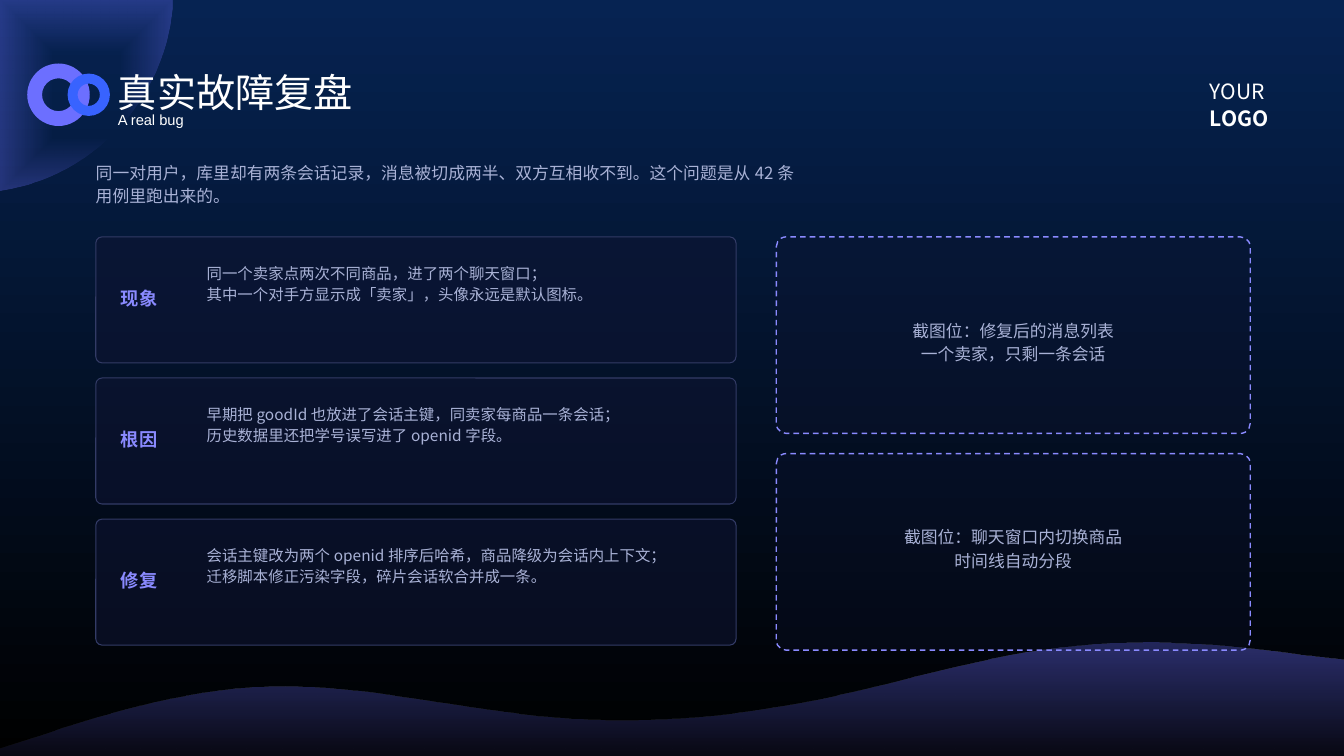
from dataclasses import dataclass

from lxml import etree
from pptx import Presentation
from pptx import util as u
from pptx.dml.color import RGBColor
from pptx.enum import dml, shapes, text
from pptx.oxml.ns import qn

PX = 9144  # 100 px to the inch


@dataclass(frozen=True)
class Theme:
    navy: str = "062352"
    black: str = "000000"
    white: str = "FFFFFF"
    violet: str = "6C6FFF"
    blue: str = "3863FF"
    body: str = "A9B2D6"
    card: str = "0E1433"
    edge: str = "333B66"
    accent: str = "8A8AFF"
    latin: str = "Arial"
    sans: str = "Noto Sans CJK SC"
    title: float = 28
    sub: float = 10.5
    lead: float = 12
    label: float = 13
    note: float = 11
    mark: float = 15


T = Theme()
ROWS = [
    ("现象", ["同一个卖家点两次不同商品，进了两个聊天窗口；",
            "其中一个对手方显示成「卖家」，头像永远是默认图标。"]),
    ("根因", ["早期把 goodId 也放进了会话主键，同卖家每商品一条会话；",
            "历史数据里还把学号误写进了 openid 字段。"]),
    ("修复", ["会话主键改为两个 openid 排序后哈希，商品降级为会话内上下文；",
            "迁移脚本修正污染字段，碎片会话软合并成一条。"]),
]
SHOTS = [
    (80, ["截图位：修复后的消息列表", "一个卖家，只剩一条会话"]),
    (70, ["截图位：聊天窗口内切换商品", "时间线自动分段"]),
]


def emu(*box):
    return [u.Emu(round(n * PX)) for n in box]


def rgb(code):
    return RGBColor.from_string(code)


def fade(shape, *alphas):
    """Set the opacity, in percent, of each fill colour in turn."""
    for tone, alpha in zip(shape._element.spPr.iter(qn("a:srgbClr")), alphas):
        etree.SubElement(tone, qn("a:alpha"), val=str(alpha * 1000))


def blend(fill, first, last, start=0):
    """Fill from top to bottom."""
    fill.gradient()
    fill.gradient_angle = 270
    for stop, code, place in zip(fill.gradient_stops, (first, last), (start, 1)):
        stop.color.rgb = rgb(code)
        stop.position = place


def write(frame, lines, size, color, face=T.sans, bold=False, align=text.PP_ALIGN.LEFT,
          space=1.15, anchor=text.MSO_ANCHOR.TOP):
    frame.word_wrap = True
    frame.auto_size = text.MSO_AUTO_SIZE.NONE
    frame.vertical_anchor = anchor
    frame.margin_left = frame.margin_right = frame.margin_top = frame.margin_bottom = 0
    for i, line in enumerate(lines):
        para = frame.add_paragraph() if i else frame.paragraphs[0]
        para.alignment = align
        para.line_spacing = space
        run = para.add_run()
        run.text = line
        font = run.font
        font.name, font.size, font.bold = face, u.Pt(size), bold
        font.color.rgb = rgb(color)
        etree.SubElement(run._r.get_or_add_rPr(), qn("a:ea"), typeface=face)


def label(slide, box, lines, size, color, **style):
    frame = slide.shapes.add_textbox(*emu(*box)).text_frame
    write(frame, lines, size, color, **style)
    return frame


def solid(slide, kind, box, color, adj):
    shape = slide.shapes.add_shape(kind, *emu(*box))
    shape.shadow.inherit = False
    shape.adjustments[0] = adj
    shape.fill.solid()
    shape.fill.fore_color.rgb = rgb(color)
    shape.line.fill.background()
    return shape


def panel(slide, box, alpha, edge, width, dash=None):
    shape = solid(slide, shapes.MSO_SHAPE.ROUNDED_RECTANGLE, box, T.card, 0.05)
    fade(shape, alpha)
    shape.line.color.rgb = rgb(edge)
    shape.line.width = u.Pt(width)
    if dash:
        shape.line.dash_style = dash


def bend(start, *curves, steps=16):
    """Points along joined cubic curves."""
    points = [start]
    for a, b, c in curves:
        o = points[-1]
        for k in range(1, steps + 1):
            t = k / steps
            s = 1 - t
            points.append(tuple(s**3 * o[i] + 3 * s * s * t * a[i]
                                + 3 * s * t * t * b[i] + t**3 * c[i] for i in (0, 1)))
    return points


def outline(slide, points):
    spots = [emu(*spot) for spot in points]
    pen = slide.shapes.build_freeform(*spots[0])
    pen.add_line_segments(spots[1:], close=True)
    shape = pen.convert_to_shape()
    shape.shadow.inherit = False
    shape.line.fill.background()
    return shape


def corner(slide, box):
    x, y, w, h = box
    arc = bend((x + w, y + 10), ((x + 162, y + 98), (x + 96, y + 170), (x + 11, y + 187)))
    shape = outline(slide, [(x, y), (x + w, y), *arc, (x, y + h)])
    blend(shape.fill, T.violet, T.violet, 0.39)
    fade(shape, 0, 31)
    line = shape._element.spPr.find(".//" + qn("a:lin"))
    glow = etree.Element(qn("a:path"), path="shape")
    etree.SubElement(glow, qn("a:fillToRect"), l="50000", t="50000", r="50000", b="50000")
    line.getparent().replace(line, glow)
    return shape


def wave(slide, box):
    x, y, w, h = box
    crest = bend((w, 17), ((1289, 12), (1289, 12), (1289, 12)),
                 ((1244, 6), (1156, -6), (1067, 3)),
                 ((978, 11), (889, 41), (800, 58)),
                 ((711, 75), (622, 81), (533, 72)),
                 ((444, 63), (356, 41), (267, 43)),
                 ((178, 46), (89, 75), (44, 90)))
    points = [*crest, (0, 104), (0, h), (w, h)]
    shape = outline(slide, [(x + a, y + b) for a, b in points])
    blend(shape.fill, T.violet, T.violet)
    fade(shape, 40, 0)


def header(slide, box, back):
    x, y, w, h = box
    title = slide.shapes.title
    back._element.addnext(title._element)
    title.left, title.top, title.width, title.height = emu(x + 90, y + 5, 310, 47)
    mid = text.MSO_ANCHOR.MIDDLE
    write(title.text_frame, ["真实故障复盘"], T.title, T.white, face=T.latin, space=1, anchor=mid)
    label(slide, (x + 90, y + 47, 310, 18), ["A real bug"], T.sub, T.white,
          face=T.latin, space=1, anchor=mid)
    ring = shapes.MSO_SHAPE.DONUT
    solid(slide, ring, (x, y, 62, 62), T.violet, 0.237)
    solid(slide, ring, (x + 40, y + 10, 42, 42), T.blue, 0.237)
    mark = label(slide, (x + w - 60, y + 13, 80, 54), ["YOUR", "LOGO"], T.mark, T.white,
                 space=u.Pt(19.4))
    mark.paragraphs[1].runs[0].font.bold = True


def cards(slide, box, gap=15):
    x, y, w, h = box
    tall = (h - gap * (len(ROWS) - 1)) / len(ROWS)
    for i, (name, lines) in enumerate(ROWS):
        top = y + i * (tall + gap)
        panel(slide, (x, top, w, tall), 55, T.edge, 0.75)
        label(slide, (x + 25, top + 47, 80, 30), [name], T.label, T.accent, bold=True)
        label(slide, (x + 110, top + 24, 500, 90), lines, T.note, T.body)


def shots(slide, box, gap=20):
    x, y, w, h = box
    tall = (h - gap * (len(SHOTS) - 1)) / len(SHOTS)
    for i, (drop, lines) in enumerate(SHOTS):
        top = y + i * (tall + gap)
        panel(slide, (x, top, w, tall), 28, T.accent, 1, dml.MSO_LINE.DASH)
        label(slide, (x, top + drop, w, 60), lines, T.lead, T.body,
              align=text.PP_ALIGN.CENTER)


def main():
    deck = Presentation()
    deck.slide_width, deck.slide_height = emu(1333, 750)
    slide = deck.slides.add_slide(deck.slide_layouts[5])
    blend(slide.background.fill, T.navy, T.black)
    back = corner(slide, (0, 0, 171, 189))
    header(slide, (27, 63, 1233, 65), back)
    wave(slide, (0, 638, 1333, 139))
    label(slide, (95, 158, 700, 60),
          ["同一对用户，库里却有两条会话记录，消息被切成两半、双方互相收不到。"
           "这个问题是从 42 条用例里跑出来的。"], T.lead, T.body)
    cards(slide, (95, 235, 635, 405))
    shots(slide, (770, 235, 470, 410))
    deck.save("out.pptx")


if __name__ == "__main__":
    main()
